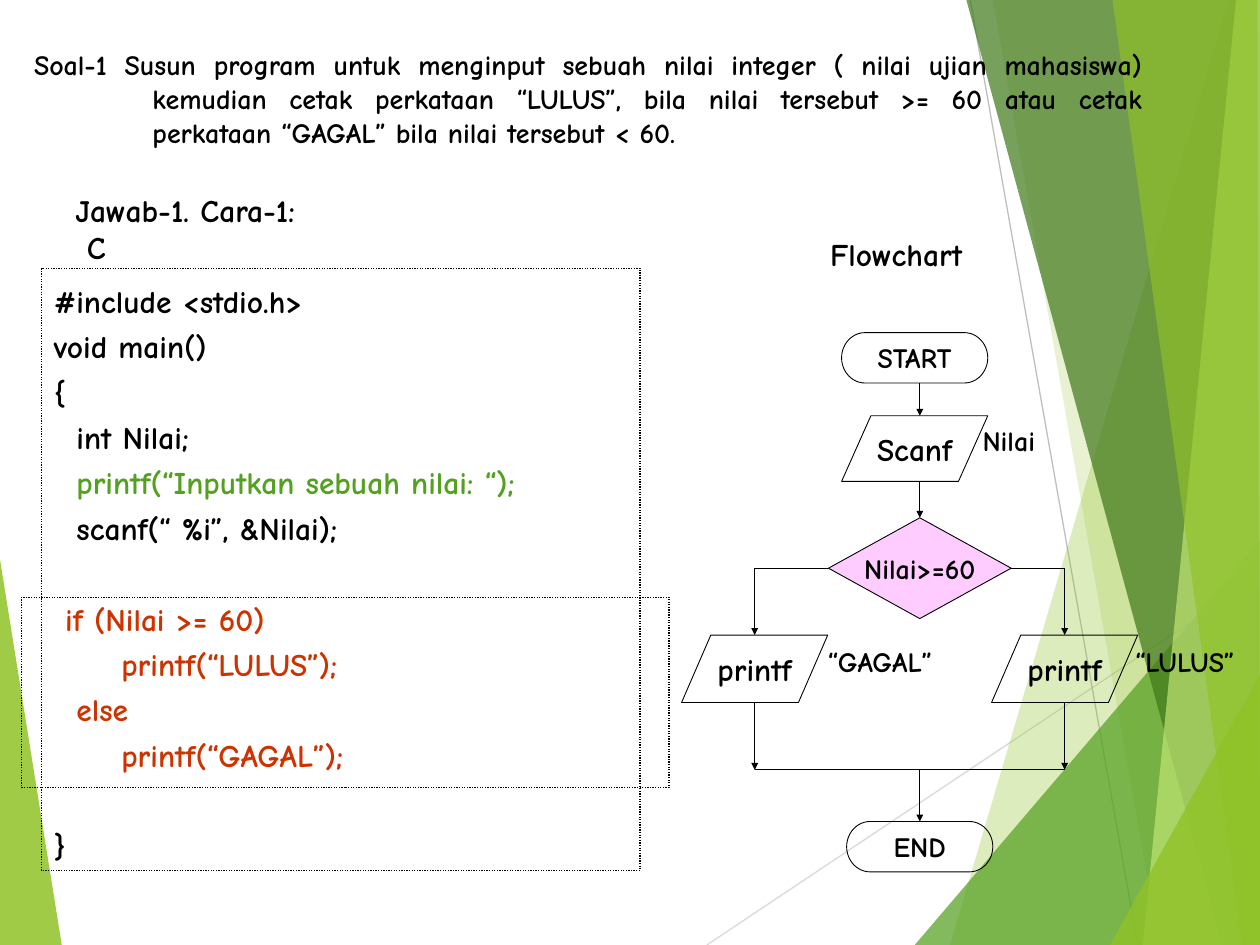
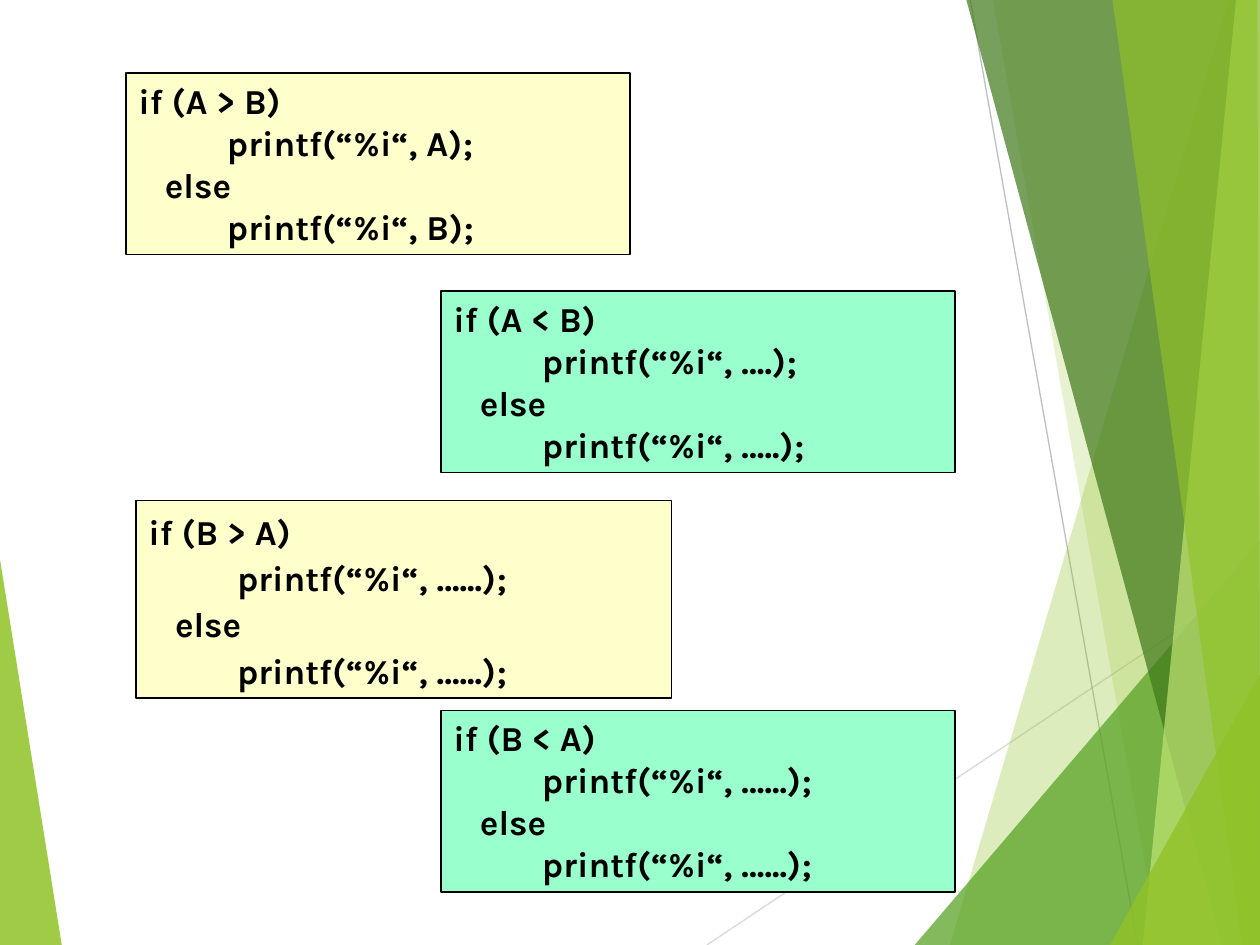
from dataclasses import dataclass
from typing import Optional

from lxml.etree import SubElement
from pptx import Presentation
from pptx.dml.color import RGBColor
from pptx.enum.dml import MSO_LINE
from pptx.enum.shapes import MSO_CONNECTOR, MSO_SHAPE
from pptx.enum.text import MSO_ANCHOR, MSO_AUTO_SIZE, PP_ALIGN
from pptx.oxml.ns import qn
from pptx.util import Inches, Pt

COLUMNS, ROWS = 100, 75
CELL = Inches(10) // COLUMNS


@dataclass(frozen=True)
class Theme:
    ink: str = "000000"
    lime: str = "90C226"
    green: str = "54A021"
    forest: str = "3F7819"
    pale_lime: str = "C0E474"
    light_grey: str = "D9D9D9"
    grey: str = "BFBFBF"
    red: str = "CC3300"
    pink: str = "FFCCFF"
    cream: str = "FFFFCC"
    mint: str = "99FFCC"
    hand_font: str = "Comic Neue"
    code_font: str = "Karla"
    small: int = 16
    medium: int = 18
    large: int = 20
    thin: float = 0.5
    border: float = 0.75


THEME = Theme()


@dataclass(frozen=True)
class Band:
    points: tuple
    color: str
    alpha: int


@dataclass(frozen=True)
class Wisp:
    start: tuple
    end: tuple
    color: str


@dataclass(frozen=True)
class Node:
    kind: MSO_SHAPE
    text: str
    center: float
    top: float
    height: float
    width: float = 11.6
    size: int = THEME.small
    fill: Optional[str] = None


@dataclass(frozen=True)
class Label:
    text: str
    left: float
    top: float
    width: float
    height: float = 3.7
    size: int = THEME.small


@dataclass(frozen=True)
class CodeLine:
    text: str
    color: str = THEME.ink
    space_before: int = 0


@dataclass(frozen=True)
class IfElse:
    box: tuple
    fill: str
    condition: str
    first: str
    second: str
    spacing: float = 1.0


LEFT_BAND = Band(((0, 44.4), (4.9, 75), (0, 75)), THEME.lime, 85)
WISPS = (
    Wisp((56.1, 75), (100, 45.7), THEME.light_grey),
    Wisp((77, 0), (90.3, 75), THEME.grey),
)
RIGHT_BANDS = (
    Band(((97.5, 0), (75.4, 75), (100, 75), (100, 0)), THEME.lime, 30),
    Band(((78.8, 0), (92, 75), (100, 75), (100, 0)), THEME.lime, 20),
    Band(((72.6, 75), (100, 42.9), (100, 75)), THEME.green, 72),
    Band(((76.7, 0), (97, 75), (100, 75), (100, 0)), THEME.forest, 70),
    Band(((98.1, 0), (90.7, 75), (100, 75), (100, 0)), THEME.pale_lime, 70),
    Band(((88.3, 0), (98.6, 75), (100, 75), (99.8, 0)), THEME.lime, 65),
    Band(((88.1, 75), (100, 53.5), (100, 75)), THEME.lime, 80),
)

QUESTION = (
    "Soal-1 Susun program untuk menginput sebuah nilai integer ( nilai ujian "
    "mahasiswa) kemudian cetak perkataan “LULUS”, bila nilai tersebut >= 60 "
    "atau cetak perkataan “GAGAL” bila nilai tersebut < 60."
)
PROGRAM = (
    CodeLine("#include <stdio.h>"),
    CodeLine("void main()"),
    CodeLine("{"),
    CodeLine("  int Nilai;"),
    CodeLine("  printf(“Inputkan sebuah nilai: “);", THEME.green),
    CodeLine("  scanf(“ %i”, &Nilai);"),
    CodeLine(" if (Nilai >= 60)", THEME.red, 26),
    CodeLine("      printf(“LULUS”);", THEME.red),
    CodeLine("  else", THEME.red),
    CodeLine("      printf(“GAGAL”);", THEME.red),
    CodeLine("}", space_before=26),
)

TRUNK, FAIL, PASS = 73, 59.9, 84.5
SPLIT, BRANCH, JOIN = 45.1, 50.4, 61.1
BRANCH_HEIGHT = 5.35
START = Node(MSO_SHAPE.FLOWCHART_TERMINATOR, "START", 72.6, 26.4, 4)
READ = Node(MSO_SHAPE.FLOWCHART_DATA, "Scanf", 72.6, 33, 5.2, size=THEME.medium)
TEST = Node(MSO_SHAPE.FLOWCHART_DECISION, "Nilai>=60", TRUNK, 41.1, 8, 14.5,
            fill=THEME.pink)
END = Node(MSO_SHAPE.FLOWCHART_TERMINATOR, "END", TRUNK, 65.2, 4)

LABELS = (
    Label("Nilai", 77, 33.1, 7),
    Label("“LULUS”", 89.1, 50.7, 10.1),
    Label("“GAGAL”", 64.7, 50.7, 10.3),
    Label("Flowchart", 64.9, 18.2, 12.5, 4, THEME.medium),
    Label("Jawab-1. Cara-1:", 5, 14.7, 19.5, 4, THEME.medium),
    Label("C", 5.9, 17.6, 3.5, 4, THEME.medium),
)
EXERCISES = (
    IfElse((10, 5.8, 40, 14.4), THEME.cream, "A > B", "A", "B"),
    IfElse((35, 23.1, 40.8, 14.4), THEME.mint, "A < B", "….", "….."),
    IfElse((10.8, 39.7, 42.5, 15.7), THEME.cream, "B > A", "…...", "…...", 1.1),
    IfElse((35, 56.4, 40.8, 14.4), THEME.mint, "B < A", "…...", "…..."),
)


def grid(*cells: float) -> list:
    return [round(cell * CELL) for cell in cells]


def rgb(color: str) -> RGBColor:
    return RGBColor.from_string(color)


def style(p, size: int, font: str = THEME.hand_font, color: str = THEME.ink) -> None:
    for r in p.runs:
        r.font.size = Pt(size)
        r.font.name = font
        r.font.bold = True
        r.font.color.rgb = rgb(color)


def add_band(s, band: Band) -> None:
    first, *rest = [grid(*point) for point in band.points]
    builder = s.shapes.build_freeform(*first)
    builder.add_line_segments(rest, close=True)
    sp = builder.convert_to_shape()
    sp.shadow.inherit = False
    sp.line.fill.background()
    sp.fill.solid()
    sp.fill.fore_color.rgb = rgb(band.color)
    color = sp._element.spPr.find(qn("a:solidFill"))[0]
    SubElement(color, qn("a:alpha")).set("val", str(band.alpha * 1000))


def add_line(s, start: tuple, end: tuple, color: str = THEME.ink,
             width: float = THEME.thin, arrow: bool = False):
    line = s.shapes.add_connector(MSO_CONNECTOR.STRAIGHT, *grid(*start, *end))
    line.line.color.rgb = rgb(color)
    line.line.width = Pt(width)
    if arrow:
        head = SubElement(line.line._get_or_add_ln(), qn("a:tailEnd"))
        for name, value in (("type", "triangle"), ("w", "sm"), ("len", "sm")):
            head.set(name, value)
    SubElement(line._element.spPr, qn("a:effectLst"))
    return line


def add_shape(s, kind: MSO_SHAPE, box: tuple, fill: Optional[str] = None,
              width: float = THEME.border):
    sp = s.shapes.add_shape(kind, *grid(*box))
    sp.shadow.inherit = False
    if fill:
        sp.fill.solid()
        sp.fill.fore_color.rgb = rgb(fill)
    else:
        sp.fill.background()
    sp.line.color.rgb = rgb(THEME.ink)
    sp.line.width = Pt(width)
    return sp


def add_dotted_frame(s, box: tuple):
    sp = add_shape(s, MSO_SHAPE.RECTANGLE, box)
    sp.line.dash_style = MSO_LINE.ROUND_DOT
    return sp


def add_node(s, node: Node):
    box = (node.center - node.width / 2, node.top, node.width, node.height)
    sp = add_shape(s, node.kind, box, node.fill, THEME.thin)
    tf = sp.text_frame
    tf.text = node.text
    tf.word_wrap = False
    tf.vertical_anchor = MSO_ANCHOR.MIDDLE
    tf.paragraphs[0].alignment = PP_ALIGN.CENTER
    style(tf.paragraphs[0], node.size)
    return sp


def add_label(s, label: Label) -> None:
    box = grid(label.left, label.top, label.width, label.height)
    tf = s.shapes.add_textbox(*box).text_frame
    tf.text = label.text
    tf.word_wrap = False
    style(tf.paragraphs[0], label.size)


def write_code(sp, lines: tuple, size: int, font: str, spacing: float) -> None:
    tf = sp.text_frame
    tf.word_wrap = True
    tf.vertical_anchor = MSO_ANCHOR.TOP
    tf.text = "\n".join(line.text for line in lines)
    for p, line in zip(tf.paragraphs, lines):
        p.alignment = PP_ALIGN.LEFT
        p.line_spacing = spacing
        if line.space_before:
            p.space_before = Pt(line.space_before)
        style(p, size, font, line.color)


def add_backdrop(s) -> None:
    add_band(s, LEFT_BAND)
    for wisp in WISPS:
        add_line(s, wisp.start, wisp.end, wisp.color, THEME.border)
    for band in RIGHT_BANDS:
        add_band(s, band)


def add_question(s) -> None:
    title = s.shapes.title
    s.shapes._spTree.append(title._element)
    title.left, title.top, title.width, title.height = grid(1.7, 3.3, 90, 9)
    tf = title.text_frame
    tf.text = QUESTION
    tf.word_wrap = True
    tf.auto_size = MSO_AUTO_SIZE.NONE
    tf.vertical_anchor = MSO_ANCHOR.TOP
    p = tf.paragraphs[0]
    p.alignment = PP_ALIGN.JUSTIFY
    hang = Inches(0.94)
    pPr = p._p.get_or_add_pPr()
    pPr.set("marL", str(hang))
    pPr.set("indent", str(-hang))
    style(p, THEME.small)


def add_flowchart(s) -> None:
    for node in (START, READ):
        add_node(s, node)
    test, end = add_node(s, TEST), add_node(s, END)
    add_line(s, (TRUNK, START.top + START.height), (TRUNK, READ.top), arrow=True)
    to_test = add_line(s, (TRUNK, READ.top + READ.height), (TRUNK, TEST.top), arrow=True)
    to_test.end_connect(test, 0)
    for center, side in ((FAIL, 1), (PASS, 3)):
        add_node(s, Node(MSO_SHAPE.FLOWCHART_DATA, "printf", center, BRANCH,
                         BRANCH_HEIGHT, size=THEME.medium))
        add_line(s, (TRUNK, SPLIT), (center, SPLIT)).begin_connect(test, side)
        add_line(s, (center, SPLIT), (center, BRANCH), arrow=True)
        add_line(s, (center, BRANCH + BRANCH_HEIGHT), (center, JOIN), arrow=True)
    add_line(s, (FAIL, JOIN), (PASS, JOIN))
    add_line(s, (TRUNK, JOIN), (TRUNK, END.top), arrow=True).end_connect(end, 0)


def add_exercise(s, exercise: IfElse) -> None:
    sp = add_shape(s, MSO_SHAPE.RECTANGLE, exercise.box, exercise.fill)
    lines = (
        CodeLine(f"if ({exercise.condition})"),
        CodeLine(f"          printf(“%i“, {exercise.first});"),
        CodeLine("   else"),
        CodeLine(f"          printf(“%i“, {exercise.second});"),
    )
    write_code(sp, lines, THEME.large, THEME.code_font, exercise.spacing)


def build_question_slide(prs) -> None:
    s = prs.slides.add_slide(prs.slide_layouts.get_by_name("Title Only"))
    add_backdrop(s)
    add_question(s)
    add_flowchart(s)
    for label in LABELS:
        add_label(s, label)
    program = add_dotted_frame(s, (3.3, 21.3, 47.5, 47.8))
    write_code(program, PROGRAM, THEME.medium, THEME.hand_font, 1.2)
    add_dotted_frame(s, (1.7, 47.4, 51.4, 15.1))


def build_exercise_slide(prs) -> None:
    s = prs.slides.add_slide(prs.slide_layouts.get_by_name("Blank"))
    add_backdrop(s)
    for exercise in EXERCISES:
        add_exercise(s, exercise)


def main() -> None:
    prs = Presentation()
    prs.slide_width, prs.slide_height = grid(COLUMNS, ROWS)
    build_question_slide(prs)
    build_exercise_slide(prs)
    prs.save("out.pptx")


if __name__ == "__main__":
    main()
